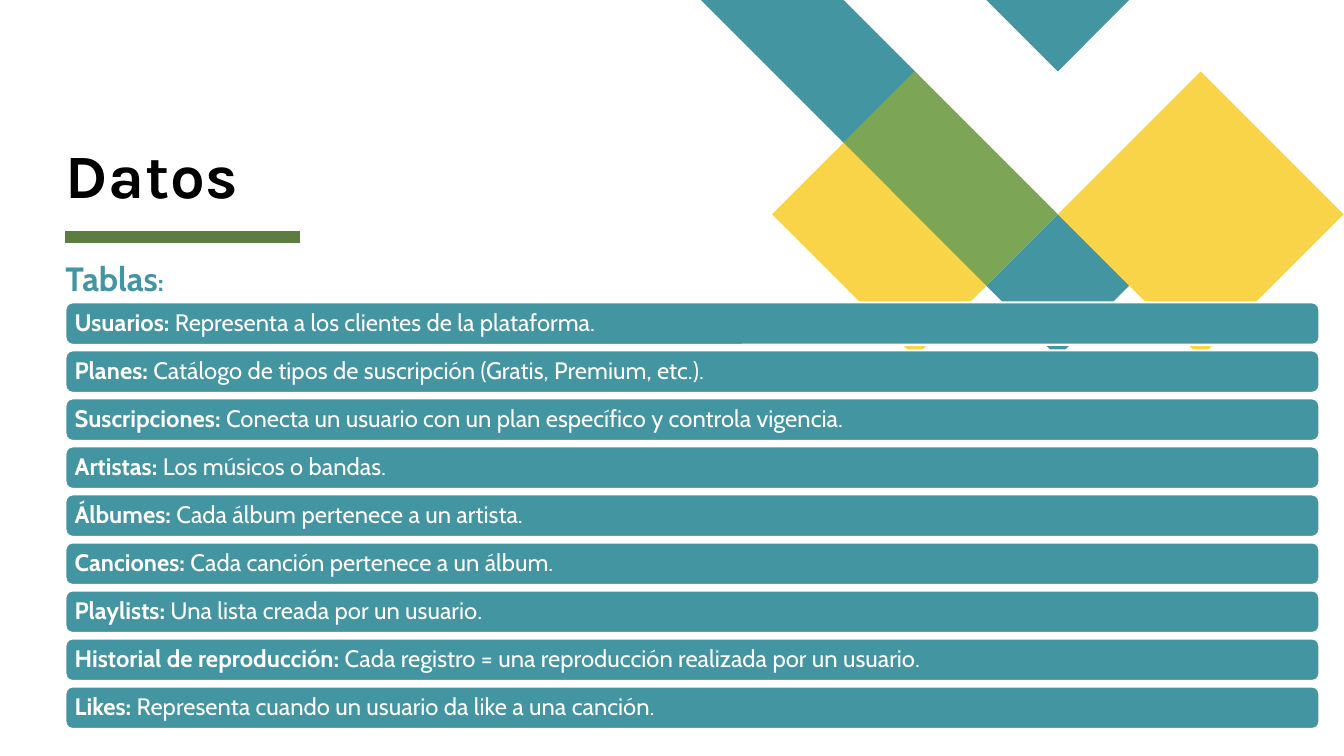
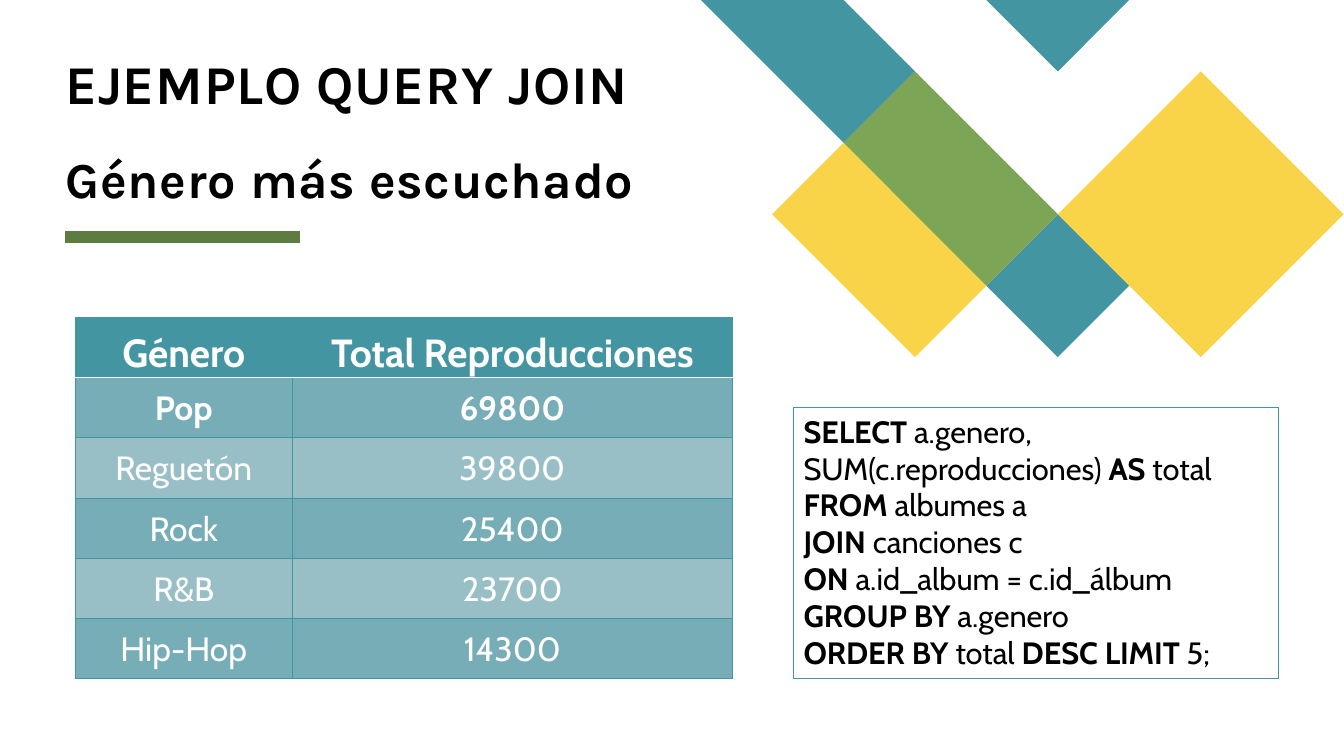
from lxml.etree import SubElement
from pptx import Presentation
from pptx.dml.color import RGBColor
from pptx.enum.shapes import MSO_CONNECTOR, MSO_SHAPE
from pptx.enum.text import MSO_ANCHOR, PP_ALIGN
from pptx.oxml.ns import qn
from pptx.util import Cm, Pt

TEAL = RGBColor(0x44, 0x95, 0xA2)
MID_TEAL = RGBColor(0x77, 0xAD, 0xB7)
LIGHT_TEAL = RGBColor(0x99, 0xBF, 0xC6)
YELLOW = RGBColor(0xF9, 0xD4, 0x48)
GREEN = RGBColor(0x7C, 0xA6, 0x55)
DARK_GREEN = RGBColor(0x5D, 0x7D, 0x40)
BLACK = RGBColor(0, 0, 0)
WHITE = RGBColor(0xFF, 0xFF, 0xFF)

LEFT = Cm(1.65)
TITLE_WIDTH = Cm(18.85)
TITLE_STYLE = dict(font="Karla", color=BLACK, line_spacing=0.8, tracking=50)


def write_text(frame, text, size, font="Cabin", color=WHITE, align=PP_ALIGN.LEFT,
               anchor=MSO_ANCHOR.TOP, line_spacing=1.0, tracking=0, margins=(0, 0, 0, 0)):
    """Write one paragraph per line; parts between asterisks are bold."""
    frame.word_wrap = True
    frame.vertical_anchor = anchor
    frame.margin_left, frame.margin_top, frame.margin_right, frame.margin_bottom = map(Cm, margins)
    for index, line in enumerate(text.split("\n")):
        paragraph = frame.add_paragraph() if index else frame.paragraphs[0]
        paragraph.alignment = align
        paragraph.line_spacing = line_spacing
        for position, part in enumerate(line.split("*")):
            if not part:
                continue
            run = paragraph.add_run()
            run.text = part
            run.font.name = font
            run.font.size = Pt(size)
            run.font.bold = position % 2 == 1
            run.font.color.rgb = color
            if tracking:
                run.font._element.set("spc", str(tracking))


def set_border(cell, side, color, width):
    line = SubElement(cell._tc.get_or_add_tcPr(), qn(f"a:{side}"), w=str(Pt(width)))
    fill = SubElement(line, qn("a:solidFill"))
    SubElement(fill, qn("a:srgbClr"), val=str(color))


presentation = Presentation()
presentation.slide_width = Cm(33.87)
presentation.slide_height = Cm(19.05)
blank_layout = presentation.slide_layouts[6]
data_slide = presentation.slides.add_slide(blank_layout)
query_slide = presentation.slides.add_slide(blank_layout)

GRID_STEP = Cm(1.8)
GRID_CENTER = Cm(26.66)
PATTERN = [
    (TEAL, [(-2, 1), (-3, 0), (-5, 0), (-3, 2)]),
    (TEAL, [(1, 4), (0, 3), (-1, 4), (0, 5)]),
    (YELLOW, [(-3, 2), (-4, 3), (-2, 5), (-1, 4)]),
    (TEAL, [(1, 0), (-1, 0), (0, 1)]),
    (GREEN, [(-2, 1), (-3, 2), (-1, 4), (0, 3)]),
    (YELLOW, [(4, 3), (2, 1), (0, 3), (2, 5)]),
]
for slide in (data_slide, query_slide):
    for color, points in PATTERN:
        builder = slide.shapes.build_freeform(*points[0], scale=GRID_STEP)
        builder.add_line_segments(points[1:], close=True)
        shape = builder.convert_to_shape(GRID_CENTER, 0)
        shape.shadow.inherit = False
        shape.fill.solid()
        shape.fill.fore_color.rgb = color
        shape.line.fill.background()
    rule = slide.shapes.add_connector(MSO_CONNECTOR.STRAIGHT, LEFT, Cm(5.97), Cm(7.57), Cm(5.97))
    rule.line.color.rgb = DARK_GREEN
    rule.line.width = Pt(8)
    SubElement(rule._element.spPr, qn("a:effectLst"))

title = data_slide.shapes.add_textbox(LEFT, Cm(0.89), TITLE_WIDTH, Cm(4.42))
write_text(title.text_frame, "*Datos*", 44, anchor=MSO_ANCHOR.BOTTOM, **TITLE_STYLE)

subtitle = data_slide.shapes.add_textbox(LEFT, Cm(6.5), Cm(16.46), Cm(1.2))
write_text(subtitle.text_frame, "*Tablas**:*", 24, color=TEAL)
subtitle.text_frame.paragraphs[0].runs[1].font.size = Pt(18)

DESCRIPTIONS = [
    ("Usuarios", "Representa a los clientes de la plataforma."),
    ("Planes", "Catálogo de tipos de suscripción (Gratis, Premium, etc.)."),
    ("Suscripciones", "Conecta un usuario con un plan específico y controla vigencia."),
    ("Artistas", "Los músicos o bandas."),
    ("Álbumes", "Cada álbum pertenece a un artista."),
    ("Canciones", "Cada canción pertenece a un álbum."),
    ("Playlists", "Una lista creada por un usuario."),
    ("Historial de reproducción", "Cada registro = una reproducción realizada por un usuario."),
    ("Likes", "Representa cuando un usuario da like a una canción."),
]
for index, (name, description) in enumerate(DESCRIPTIONS):
    bar = data_slide.shapes.add_shape(
        MSO_SHAPE.ROUNDED_RECTANGLE, LEFT, Cm(7.62 + 1.21 * index), Cm(31.6), Cm(1.07))
    bar.shadow.inherit = False
    bar.fill.solid()
    bar.fill.fore_color.rgb = TEAL
    bar.line.color.rgb = WHITE
    bar.line.width = Pt(1.5)
    write_text(bar.text_frame, f"*{name}: *{description}", 17, anchor=MSO_ANCHOR.MIDDLE,
               line_spacing=0.9, margins=(0.18, 0.18, 0.18, 0.18))

for text, size, top in (("*EJEMPLO QUERY JOIN*", 39, 1.57), ("*Género más escuchado*", 36, 4.04)):
    title = query_slide.shapes.add_textbox(LEFT, Cm(top), TITLE_WIDTH, Cm(1.47))
    write_text(title.text_frame, text, size, **TITLE_STYLE)

ROWS = [
    ("*Género*", "*Total Reproducciones*"),
    ("*Pop*", "*69800*"),
    ("Reguetón", "39800"),
    ("Rock", "25400"),
    ("R&B", "23700"),
    ("Hip-Hop", "14300"),
]
table = query_slide.shapes.add_table(
    len(ROWS), 2, Cm(1.9), Cm(8), Cm(16.56), Cm(9.1)).table
table.columns[0].width = Cm(5.46)
table.columns[1].width = Cm(11.1)
for row_index, row in enumerate(ROWS):
    is_header = row_index == 0
    for column_index, text in enumerate(row):
        cell = table.cell(row_index, column_index)
        for side in ("lnL", "lnR", "lnT", "lnB"):
            if (row_index, side) in ((0, "lnB"), (1, "lnT")):
                set_border(cell, side, WHITE, 1)
            else:
                set_border(cell, side, TEAL, 0.5)
        cell.fill.solid()
        cell.fill.fore_color.rgb = TEAL if is_header else MID_TEAL if row_index % 2 else LIGHT_TEAL
        write_text(cell.text_frame, text, 28 if is_header else 24, align=PP_ALIGN.CENTER)
        cell.vertical_anchor = MSO_ANCHOR.BOTTOM if is_header else MSO_ANCHOR.MIDDLE
        cell.margin_left = cell.margin_top = cell.margin_right = Cm(0.05)
        cell.margin_bottom = 0

QUERY = """*SELECT *a.genero,
SUM(c.reproducciones) *AS* total
*FROM *albumes a
*JOIN* canciones c
*ON *a.id_album = c.id_álbum
*GROUP BY *a.genero
*ORDER BY* total *DESC LIMIT* 5;"""
query_box = query_slide.shapes.add_textbox(Cm(20), Cm(10.26), Cm(12.22), Cm(6.83))
query_box.line.color.rgb = TEAL
query_box.line.width = Pt(0.75)
write_text(query_box.text_frame, QUERY, 22, color=BLACK, margins=(0.25, 0.13, 0.25, 0.13))

presentation.save("out.pptx")
